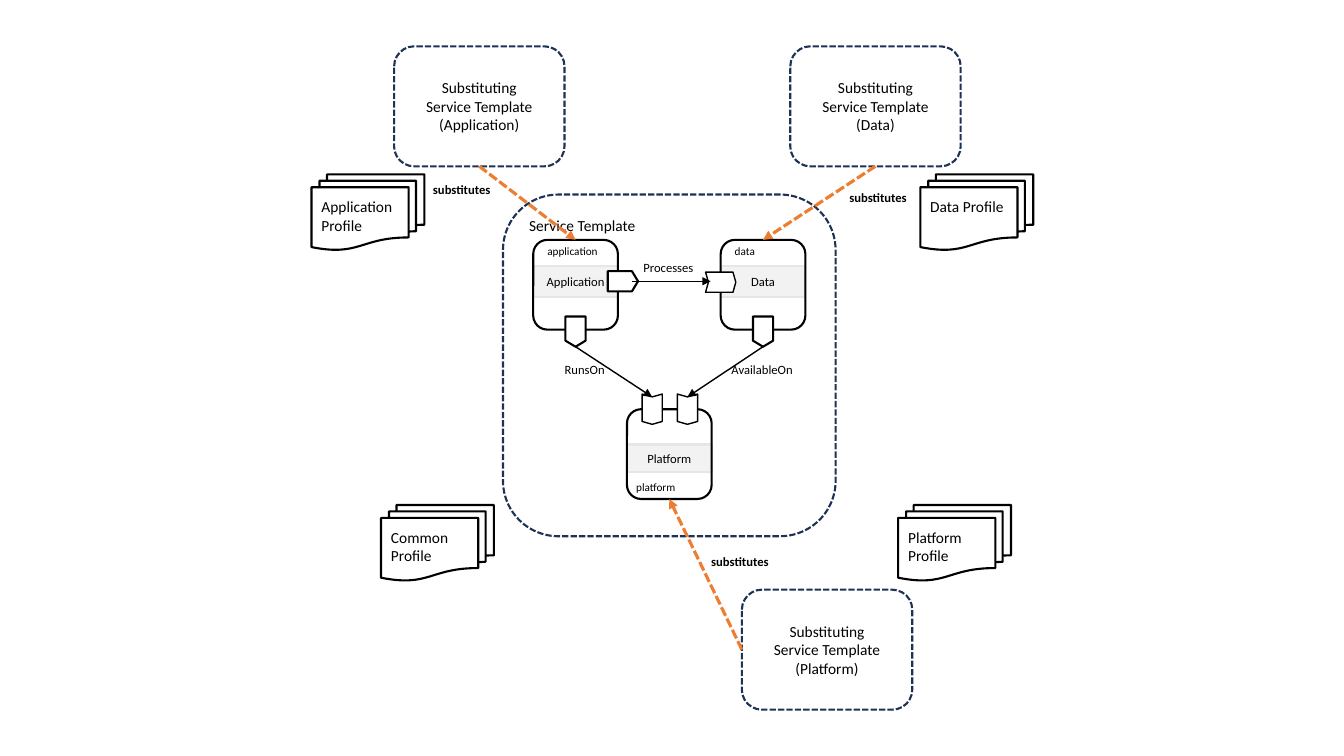
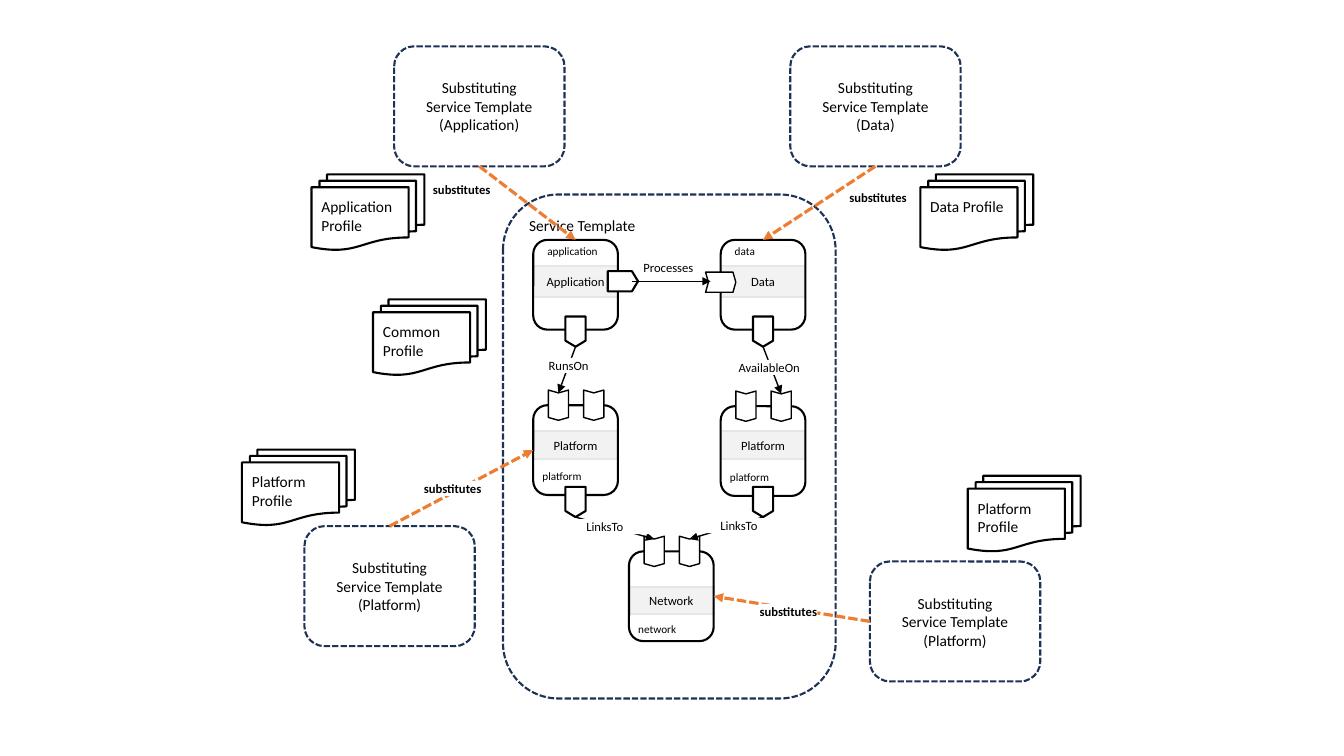
"""Build two diagrams of a service template whose nodes are substituted by other templates."""
from dataclasses import dataclass

from lxml import etree
from pptx import Presentation
from pptx.dml.color import RGBColor
from pptx.enum.dml import MSO_LINE
from pptx.enum.shapes import MSO_CONNECTOR, MSO_SHAPE
from pptx.enum.text import MSO_ANCHOR, PP_ALIGN
from pptx.oxml.ns import qn
from pptx.shapes.autoshape import Shape
from pptx.shapes.connector import Connector
from pptx.slide import Slide
from pptx.util import Inches, Length, Pt

ROUNDED, RECTANGLE = MSO_SHAPE.ROUNDED_RECTANGLE, MSO_SHAPE.RECTANGLE
OUTLET, SOCKET = MSO_SHAPE.FLOWCHART_OFFPAGE_CONNECTOR, MSO_SHAPE.CHEVRON
DOCUMENTS = MSO_SHAPE.FLOWCHART_MULTIDOCUMENT
STRAIGHT, DASHED = MSO_CONNECTOR.STRAIGHT, MSO_LINE.SQUARE_DOT
TOP, MIDDLE, BOTTOM = MSO_ANCHOR.TOP, MSO_ANCHOR.MIDDLE, MSO_ANCHOR.BOTTOM
LEFT, CENTER = PP_ALIGN.LEFT, PP_ALIGN.CENTER
TOP_SIDE, LEFT_SIDE, BOTTOM_SIDE, RIGHT_SIDE = range(4)

BLACK = RGBColor(0x00, 0x00, 0x00)
WHITE = RGBColor(0xFF, 0xFF, 0xFF)
NAVY = RGBColor(0x1E, 0x32, 0x56)
ORANGE = RGBColor(0xED, 0x7D, 0x31)
BAND_FILL = RGBColor(0xF2, 0xF2, 0xF2)
BAND_LINE = RGBColor(0xE7, 0xE6, 0xE6)
FONT = "Calibri"

CELL = 0.1
COLUMNS, ROWS = 133.33, 75
FRAME_LEFT, FRAME_TOP, FRAME_WIDTH = 49.9, 19.3, 33
NODE_WIDTH, NODE_HEIGHT = 8.4, 8.9
TEMPLATE_WIDTH, TEMPLATE_HEIGHT = 16.9, 11.9
PROFILE_WIDTH, PROFILE_HEIGHT = 11.2, 7.5
LABEL_WIDTH, LABEL_HEIGHT, SUBSTITUTES_WIDTH = 9.8, 1.5, 5.8
PORT_WIDTH, PORT_LENGTH = 2, 3
SOCKET_COLUMNS = (2.5, 6)
NOTCH = 0.14
NOTCH_RISE = PORT_LENGTH / 2 - NOTCH * PORT_WIDTH
PROCESSES_ROW, PROCESSES_START, PROCESSES_END = 27.9, 62.7, 70.5
DEFAULT_INSETS = (1, 0.5, 1, 0.5)
NO_INSETS = (0, 0, 0, 0)


@dataclass(frozen=True)
class Node:
    type_name: str
    left: float
    top: float
    band_drop: float = 2.6
    band_height: float = 3.1
    caption_anchor: MSO_ANCHOR = TOP
    caption_insets: tuple[float, ...] = (1, 0, 1, 0.5)
    outlet_drop: float = 0
    has_sockets: bool = False


@dataclass(frozen=True)
class Link:
    label: str
    source: Node
    target: Node
    socket: int
    label_left: float
    label_top: float
    masked: bool = True


@dataclass(frozen=True)
class Template:
    role: str
    left: float
    top: float
    node: Node
    side: int
    node_side: int
    label_left: float
    label_top: float


@dataclass(frozen=True)
class Profile:
    title: str
    left: float
    top: float


@dataclass(frozen=True)
class Diagram:
    frame_height: float
    nodes: tuple[Node, ...]
    links: tuple[Link, ...]
    templates: tuple[Template, ...]
    profiles: tuple[Profile, ...]


def hosting_node(type_name: str, left: float, top: float, band_drop: float = 3.5,
                 lift: float = 0.1, outlet_drop: float = 0) -> Node:
    return Node(type_name, left, top, band_drop, 2.7, BOTTOM, (0.5, 0, 1, lift),
                outlet_drop, True)


APPLICATION = Node("Application", 52.9, 23.8, outlet_drop=7.6)
DATA = Node("Data", 71.5, 23.8, outlet_drop=7.6)
SHARED_PLATFORM = hosting_node("Platform", 62.2, 40.6)
APPLICATION_PLATFORM = hosting_node("Platform", 52.9, 40.2, 2.6, 0.8, 8.1)
DATA_PLATFORM = hosting_node("Platform", 71.5, 40.3, 2.5, 0.8, 8)
NETWORK = hosting_node("Network", 62.4, 54.7)

COMMON_TEMPLATES = (
    Template("Application", 39.1, 4.6, APPLICATION, BOTTOM_SIDE, TOP_SIDE, 42.9, 18),
    Template("Data", 78.4, 4.6, DATA, BOTTOM_SIDE, TOP_SIDE, 84.2, 18.8),
)
COMMON_PROFILES = (
    Profile("Application Profile", 30.9, 17.3),
    Profile("Data Profile", 91.3, 17.3),
)
DIAGRAMS = (
    Diagram(
        33.9,
        (APPLICATION, DATA, SHARED_PLATFORM),
        (
            Link("RunsOn", APPLICATION, SHARED_PLATFORM, 0, 53.1, 35.9, False),
            Link("AvailableOn", DATA, SHARED_PLATFORM, 1, 70.7, 35.9, False),
        ),
        COMMON_TEMPLATES + (
            Template("Platform", 73.6, 58.5, SHARED_PLATFORM, LEFT_SIDE, BOTTOM_SIDE, 70.5, 55),
        ),
        COMMON_PROFILES + (
            Profile("Platform\nProfile", 89.1, 50.1),
            Profile("Common Profile", 37.8, 50.1),
        ),
    ),
    Diagram(
        50,
        (APPLICATION, DATA, APPLICATION_PLATFORM, DATA_PLATFORM, NETWORK),
        (
            Link("RunsOn", APPLICATION, APPLICATION_PLATFORM, 0, 51.5, 35.5),
            Link("AvailableOn", DATA, DATA_PLATFORM, 1, 71.4, 35.7),
            Link("LinksTo", APPLICATION_PLATFORM, NETWORK, 0, 55.1, 51.5),
            Link("LinksTo", DATA_PLATFORM, NETWORK, 1, 68.4, 51.4),
        ),
        COMMON_TEMPLATES + (
            Template("Platform", 30.2, 52.2, APPLICATION_PLATFORM, TOP_SIDE, LEFT_SIDE, 42, 47.7),
            Template("Platform", 86.3, 55.7, NETWORK, LEFT_SIDE, RIGHT_SIDE, 75.3, 59.9),
        ),
        COMMON_PROFILES + (
            Profile("Platform\nProfile", 24, 44.6),
            Profile("Common Profile", 37, 29.7),
            Profile("Platform\nProfile", 96, 47.2),
        ),
    ),
)


def cells(*counts: float) -> list[Length]:
    return [Inches(count * CELL) for count in counts]


def write(shape: Shape, text: str, size: float, align: PP_ALIGN = LEFT,
          anchor: MSO_ANCHOR = TOP, insets: tuple[float, ...] = DEFAULT_INSETS,
          bold: bool = False) -> None:
    frame = shape.text_frame
    frame.word_wrap = True
    frame.vertical_anchor = anchor
    (frame.margin_left, frame.margin_top,
     frame.margin_right, frame.margin_bottom) = cells(*insets)
    paragraph = frame.paragraphs[0]
    paragraph.alignment = align
    for index, words in enumerate(text.split("\n")):
        if index:
            paragraph.add_line_break()
        run = paragraph.add_run()
        run.text = words
        run.font.name, run.font.size, run.font.bold = FONT, Pt(size), bold
        run.font.color.rgb = BLACK


def draw(slide: Slide, kind: MSO_SHAPE, left: float, top: float, width: float, height: float,
         line: RGBColor = BLACK, weight: float = 1.5, fill: RGBColor | None = None,
         dashed: bool = False) -> Shape:
    shape = slide.shapes.add_shape(kind, *cells(left, top, width, height))
    shape.shadow.inherit = False
    if fill is None:
        shape.fill.background()
    else:
        shape.fill.solid()
        shape.fill.fore_color.rgb = fill
    shape.line.color.rgb = line
    shape.line.width = Pt(weight)
    if dashed:
        shape.line.dash_style = DASHED
    return shape


def draw_arrow(slide: Slide, start: tuple[float, float], end: tuple[float, float],
               color: RGBColor = BLACK, weight: float = 1, dashed: bool = False) -> Connector:
    arrow = slide.shapes.add_connector(STRAIGHT, *cells(*start, *end))
    arrow.line.color.rgb = color
    arrow.line.width = Pt(weight)
    if dashed:
        arrow.line.dash_style = DASHED
    properties = arrow.element.spPr
    etree.SubElement(properties.find(qn("a:ln")), qn("a:tailEnd"), type="triangle")
    etree.SubElement(properties, qn("a:effectLst"))
    return arrow


def draw_label(slide: Slide, text: str, left: float, top: float, width: float = LABEL_WIDTH,
               masked: bool = True, bold: bool = False) -> None:
    label = slide.shapes.add_textbox(*cells(left, top, width, LABEL_HEIGHT))
    if masked:
        label.fill.solid()
        label.fill.fore_color.rgb = WHITE
    write(label, text, 9, CENTER, insets=NO_INSETS, bold=bold)


def draw_outlet(slide: Slide, center: float, middle: float, rotation: float = 0) -> None:
    outlet = draw(slide, OUTLET, center - PORT_WIDTH / 2, middle - PORT_LENGTH / 2,
                  PORT_WIDTH, PORT_LENGTH, fill=WHITE)
    outlet.rotation = rotation


def draw_socket(slide: Slide, center: float, middle: float, rotation: float = 90) -> None:
    socket = draw(slide, SOCKET, center - PORT_LENGTH / 2, middle - PORT_WIDTH / 2,
                  PORT_LENGTH, PORT_WIDTH, weight=1, fill=WHITE)
    socket.adjustments[0] = NOTCH
    socket.rotation = rotation


def draw_node(slide: Slide, node: Node) -> Shape:
    band = draw(slide, RECTANGLE, node.left, node.top + node.band_drop,
                NODE_WIDTH, node.band_height, BAND_LINE, fill=BAND_FILL)
    write(band, node.type_name, 9, CENTER, MIDDLE, (0, 0.5, 0, 0.5))
    body = draw(slide, ROUNDED, node.left, node.top, NODE_WIDTH, NODE_HEIGHT)
    write(body, node.type_name.lower(), 8, LEFT, node.caption_anchor, node.caption_insets)
    if node.has_sockets:
        for column in SOCKET_COLUMNS:
            draw_socket(slide, node.left + column, node.top)
    if node.outlet_drop:
        draw_outlet(slide, node.left + NODE_WIDTH / 2,
                    node.top + node.outlet_drop + PORT_LENGTH / 2)
    return body


def draw_link(slide: Slide, link: Link) -> None:
    source, target = link.source, link.target
    tip = source.left + NODE_WIDTH / 2, source.top + source.outlet_drop + PORT_LENGTH
    notch = target.left + SOCKET_COLUMNS[link.socket], target.top - NOTCH_RISE
    draw_arrow(slide, tip, notch)
    draw_label(slide, link.label, link.label_left, link.label_top, masked=link.masked)


def draw_processes(slide: Slide) -> None:
    draw_outlet(slide, APPLICATION.left + NODE_WIDTH + 0.5, PROCESSES_ROW, 270)
    draw_socket(slide, DATA.left, PROCESSES_ROW + 0.1, 0)
    draw_arrow(slide, (PROCESSES_START, PROCESSES_ROW), (PROCESSES_END, PROCESSES_ROW))
    draw_label(slide, "Processes", 61.4, 25.8, masked=False)


def draw_template(slide: Slide, template: Template, body: Shape) -> None:
    box = draw(slide, ROUNDED, template.left, template.top, TEMPLATE_WIDTH, TEMPLATE_HEIGHT,
               NAVY, dashed=True)
    write(box, f"Substituting\nService Template\n({template.role})", 11, CENTER, MIDDLE)
    arrow = draw_arrow(slide, (0, 0), (0, 0), ORANGE, 2.25, True)
    arrow.begin_connect(box, template.side)
    arrow.end_connect(body, template.node_side)
    draw_label(slide, "substitutes", template.label_left, template.label_top,
               SUBSTITUTES_WIDTH, bold=True)


def draw_diagram(slide: Slide, diagram: Diagram) -> None:
    frame = draw(slide, ROUNDED, FRAME_LEFT, FRAME_TOP, FRAME_WIDTH, diagram.frame_height,
                 NAVY, dashed=True)
    write(frame, "Service Template", 11)
    bodies = {node: draw_node(slide, node) for node in diagram.nodes}
    draw_processes(slide)
    for link in diagram.links:
        draw_link(slide, link)
    for template in diagram.templates:
        draw_template(slide, template, bodies[template.node])
    for profile in diagram.profiles:
        documents = draw(slide, DOCUMENTS, profile.left, profile.top,
                         PROFILE_WIDTH, PROFILE_HEIGHT)
        write(documents, profile.title, 11, insets=(1, 1, 1, 0.5))


def main() -> None:
    deck = Presentation()
    deck.slide_width, deck.slide_height = cells(COLUMNS, ROWS)
    blank = deck.slide_layouts[6]
    for diagram in DIAGRAMS:
        draw_diagram(deck.slides.add_slide(blank), diagram)
    deck.save("out.pptx")


if __name__ == "__main__":
    main()
